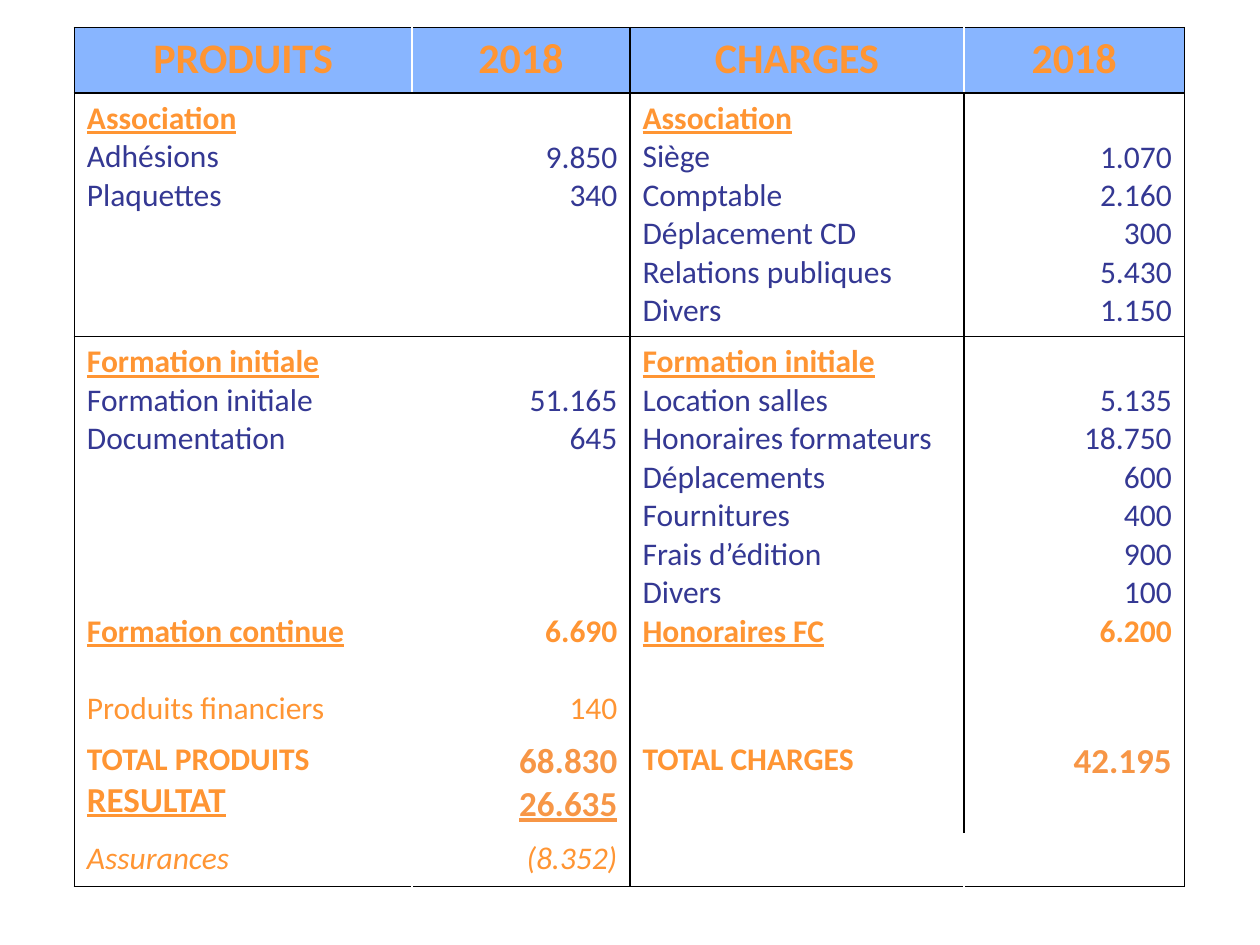
from lxml.etree import SubElement
from pptx import Presentation
from pptx.dml.color import RGBColor
from pptx.enum.text import PP_ALIGN as Align
from pptx.oxml.ns import qn
from pptx.util import Inches, Pt

ORANGE, CORAL, NAVY = "FF9533", "F79646", "343893"
BLACK, WHITE, BLUE = "000000", "FFFFFF", "88B5FF"
NO_STYLE = "{2D5ABB26-0587-4C30-8999-92F81FD0307C}"
LINE_PT = 22
COLUMNS = [2.68, 1.73, 2.65, 1.75]
ROWS = [0.52, 1.92, 3.15, 0.79, 0.42]

STYLES = {
    "header": (ORANGE, {"size": Pt(24), "bold": True}),
    "title": (ORANGE, {"size": Pt(18), "bold": True, "underline": True}),
    "item": (NAVY, {"size": Pt(18)}),
    "strong": (ORANGE, {"size": Pt(18), "bold": True}),
    "plain": (ORANGE, {"size": Pt(18)}),
    "result": (ORANGE, {"size": Pt(20), "bold": True, "underline": True}),
    "total": (CORAL, {"size": Pt(20), "bold": True}),
    "balance": (CORAL, {"size": Pt(20), "bold": True, "underline": True}),
    "note": (ORANGE, {"size": Pt(18), "italic": True}),
}


def items(*texts):
    return [(text, "item", 0) for text in texts]


CONTENT = [
    [[(text, "header", 0)] for text in ("PRODUITS", "2018", "CHARGES", "2018")],
    [
        [("Association", "title", 0)] + items("Adhésions", "Plaquettes"),
        [("9.850", "item", 1), ("340", "item", 0)],
        [("Association", "title", 0)]
        + items("Siège", "Comptable", "Déplacement CD", "Relations publiques", "Divers"),
        [("1.070", "item", 1)] + items("2.160", "300", "5.430", "1.150"),
    ],
    [
        [("Formation initiale", "title", 0)]
        + items("Formation initiale", "Documentation")
        + [("Formation continue", "title", 4), ("Produits financiers", "plain", 1)],
        [("51.165", "item", 1), ("645", "item", 0),
         ("6.690", "strong", 4), ("140", "plain", 1)],
        [("Formation initiale", "title", 0)]
        + items("Location salles", "Honoraires formateurs", "Déplacements",
                "Fournitures", "Frais d’édition", "Divers")
        + [("Honoraires FC", "title", 0)],
        [("5.135", "item", 1)] + items("18.750", "600", "400", "900", "100")
        + [("6.200", "strong", 0)],
    ],
    [
        [("TOTAL PRODUITS", "strong", 0), ("RESULTAT", "result", 0)],
        [("68.830", "total", 0), ("26.635", "balance", 0)],
        [("TOTAL CHARGES", "strong", 0)],
        [("42.195", "total", 0)],
    ],
    [[("Assurances", "note", 0)], [("(8.352)", "note", 0)], [], []],
]


def color(value):
    return RGBColor.from_string(value)


def add_border(cell, side, value):
    line = SubElement(cell._tc.get_or_add_tcPr(), qn(f"a:ln{side}"), w=str(Pt(1)))
    fill = SubElement(line, qn("a:solidFill"))
    SubElement(fill, qn("a:srgbClr"), val=value)


def draw_borders(cell, row, column):
    edge_row = row in (0, len(ROWS) - 1)
    outer, inner = ("L", "R") if column % 2 == 0 else ("R", "L")
    sides = {outer: BLACK}
    if edge_row:
        sides.update({inner: WHITE, "B": BLACK})
    if row in (0, 1):
        sides["T"] = BLACK
    for side in "LRTB":
        if side in sides:
            add_border(cell, side, sides[side])


def write_line(para, text, style, align):
    para.alignment = align
    span = para.add_run()
    span.text = text
    value, formats = STYLES[style]
    span.font.name = "Calibri"
    span.font.color.rgb = color(value)
    for name, setting in formats.items():
        setattr(span.font, name, setting)


def fill_cell(cell, lines, row, column):
    draw_borders(cell, row, column)
    cell.fill.solid()
    cell.fill.fore_color.rgb = color(WHITE if row else BLUE)
    align = Align.CENTER if row == 0 else (Align.LEFT, Align.RIGHT)[column % 2]
    frame = cell.text_frame
    for index, (text, style, gap) in enumerate(lines):
        para = frame.add_paragraph() if index else frame.paragraphs[0]
        if index:
            para.space_before = Pt(gap * LINE_PT)
        else:
            cell.margin_top = Inches(0.05) + Pt(gap * LINE_PT)
        write_line(para, text, style, align)


def add_budget(page):
    frame = page.shapes.add_table(
        len(ROWS), len(COLUMNS), Inches(0.59), Inches(0.22),
        Inches(sum(COLUMNS)), Inches(sum(ROWS)))
    table = frame.table
    table.first_row = table.horz_banding = False
    table._tbl.tblPr.find(qn("a:tableStyleId")).text = NO_STYLE
    for column, width in zip(table.columns, COLUMNS):
        column.width = Inches(width)
    for row, height in zip(table.rows, ROWS):
        row.height = Inches(height)
    for row, cells in enumerate(CONTENT):
        for column, lines in enumerate(cells):
            fill_cell(table.cell(row, column), lines, row, column)


def main():
    deck = Presentation()
    deck.slide_width, deck.slide_height = Inches(10), Inches(7.5)
    page = deck.slides.add_slide(deck.slide_layouts[6])
    add_budget(page)
    deck.save("out.pptx")


main()
